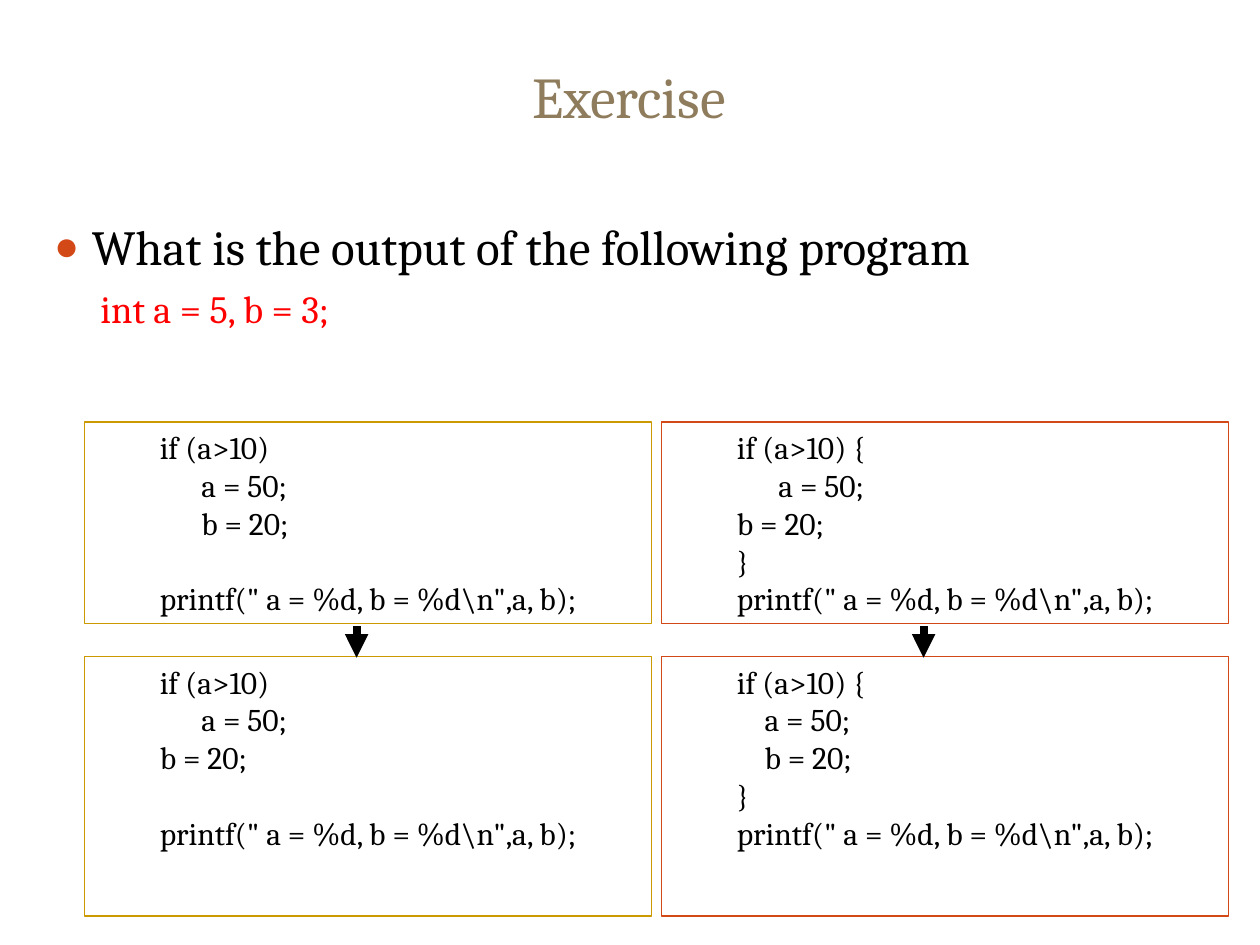
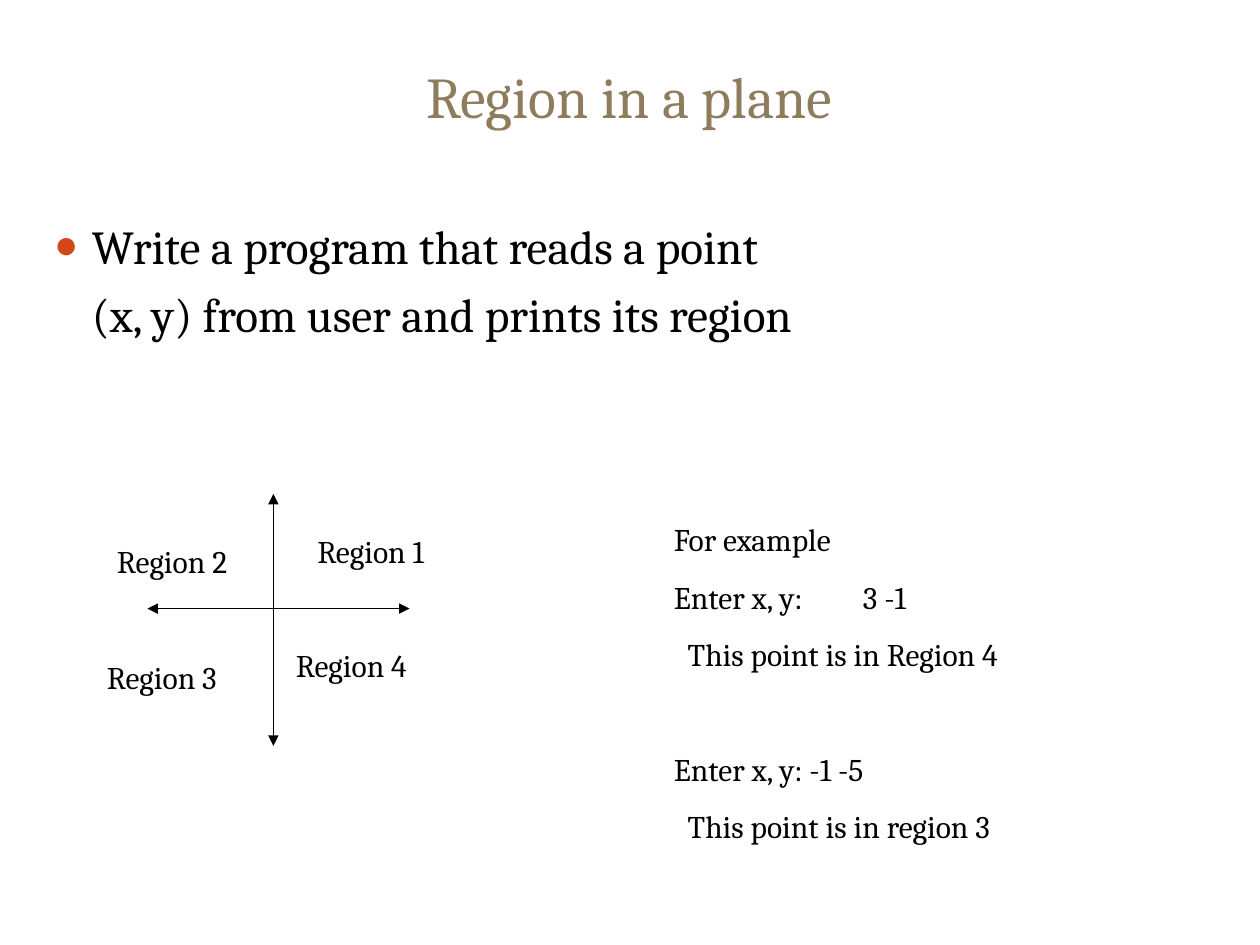
from lxml.etree import SubElement
from pptx import Presentation
from pptx.dml.color import RGBColor
from pptx.enum.shapes import MSO_CONNECTOR, MSO_SHAPE
from pptx.enum.text import MSO_ANCHOR, MSO_AUTO_SIZE, PP_ALIGN
from pptx.oxml.ns import qn
from pptx.util import Inches, Pt

FONT = "Cambria"
BLACK = RGBColor(0, 0, 0)
RED = RGBColor(0xFF, 0, 0)
TAN = RGBColor(0x8E, 0x7C, 0x5C)
RUST = RGBColor(0xD3, 0x48, 0x17)
GOLD = RGBColor(0xCC, 0x99, 0x00)

SMALL = 18
LINE = 21.6  # height of one line of small text, in points
GAP = 11.2

PRINT = 'printf(" a = %d, b = %d\\n",a, b);'
# An empty string stands for a skipped line.
LOOSE = ["if (a>10)", "      a = 50;", "      b = 20;", "", PRINT]
PLAIN = ["if (a>10)", "      a = 50;", "b = 20;", "", PRINT]
MIXED = ["if (a>10) {", "      a = 50;", "b = 20;", "}", PRINT]
BLOCK = ["if (a>10) {", "    a = 50;", "    b = 20;", "}", PRINT]


def add_tag(node, name, **attrs):
    return SubElement(node, qn(name), attrs)


def write(par, text, size, color=BLACK, before=0.0, left=0.0, hang=0.0,
          bullet=False, stop=None):
    """Fill one paragraph; left, hang and stop are inches, before is points."""
    props = par._p.get_or_add_pPr()
    props.set("marL", str(Inches(left)))
    props.set("indent", str(Inches(-hang)))
    if bullet:
        tint = add_tag(props, "a:buClr")
        add_tag(tint, "a:srgbClr", val=str(RUST))
        add_tag(props, "a:buSzPct", val="85000")
        add_tag(props, "a:buChar", char="●")
    else:
        add_tag(props, "a:buNone")
    if stop:
        tabs = add_tag(props, "a:tabLst")
        add_tag(tabs, "a:tab", pos=str(Inches(stop)), algn="l")
    par.text = text
    par.space_before = Pt(before)
    par.font.name = FONT
    par.font.size = Pt(size)
    par.font.color.rgb = color


def next_par(frame, first):
    return frame.paragraphs[0] if first else frame.add_paragraph()


def place(shape, left, top, width, height):
    shape.left, shape.top = Inches(left), Inches(top)
    shape.width, shape.height = Inches(width), Inches(height)


def add_page(deck, title, items):
    """Add a slide with its title and a list of (text, style) items."""
    page = deck.slides.add_slide(deck.slide_layouts[1])
    head, body = page.placeholders
    place(head, 0.33, 0.25, 9.33, 0.83)
    head.text_frame.vertical_anchor = MSO_ANCHOR.BOTTOM
    write(head.text_frame.paragraphs[0], title, 33, TAN)
    head.text_frame.paragraphs[0].alignment = PP_ALIGN.CENTER
    place(body, 0.33, 1.67, 9.3, 5)
    for frame in (head.text_frame, body.text_frame):
        frame.auto_size = MSO_AUTO_SIZE.NONE
    for i, (text, style) in enumerate(items):
        write(next_par(body.text_frame, i == 0), text, **style)
    return page


def add_code(page, left, top, height, color, lines):
    box = page.shapes.add_shape(MSO_SHAPE.RECTANGLE, Inches(left), Inches(top),
                                Inches(4.5), Inches(height))
    box.shadow.inherit = False
    box.fill.background()
    box.line.color.rgb = color
    box.line.width = Pt(0.75)
    frame = box.text_frame
    frame.word_wrap = True
    frame.vertical_anchor = MSO_ANCHOR.TOP
    skip = 0
    for i, line in enumerate(lines):
        if not line:
            skip += LINE
            continue
        par = next_par(frame, i == 0)
        write(par, line, SMALL, before=skip, left=0.5)
        par.alignment = PP_ALIGN.LEFT
        skip = 0


def add_arrow(page, start, end, width, both=False):
    link = page.shapes.add_connector(MSO_CONNECTOR.STRAIGHT,
                                     *map(Inches, start + end))
    link.line.color.rgb = BLACK
    link.line.width = Pt(width)
    edge = link.line._get_or_add_ln()
    if both:
        add_tag(edge, "a:headEnd", type="triangle")
    add_tag(edge, "a:tailEnd", type="triangle")
    add_tag(link._element.spPr, "a:effectLst")


def add_note(page, left, top, width, height, items):
    """Add a text box of (text, style) items in small type."""
    box = page.shapes.add_textbox(Inches(left), Inches(top),
                                  Inches(width), Inches(height))
    box.text_frame.word_wrap = True
    for i, (text, style) in enumerate(items):
        write(next_par(box.text_frame, i == 0), text, SMALL, **style)


def add_quiz(deck):
    page = add_page(deck, "Exercise", [
        ("What is the output of the following program",
         dict(size=28, left=0.3, hang=0.3, bullet=True)),
        (" int a = 5, b = 3;",
         dict(size=22, color=RED, before=5.5, left=0.6, hang=0.3)),
    ])
    columns = [(0.67, 2.83, GOLD, LOOSE, PLAIN),
               (5.25, 7.33, RUST, MIXED, BLOCK)]
    for left, mid, color, given, clear in columns:
        add_code(page, left, 3.35, 1.6, color, given)
        add_code(page, left, 5.21, 2.06, color, clear)
        add_arrow(page, (mid, 4.97), (mid, 5.22), 4.5)


def add_plane(deck):
    page = add_page(deck, "Region in a plane", [
        ("Write a program that reads a point",
         dict(size=27, left=0.3, hang=0.3, bullet=True)),
        ("(x, y) from user and prints its region",
         dict(size=27, before=6.8, left=0.3)),
    ])
    add_arrow(page, (2.17, 3.92), (2.17, 5.92), 0.75, both=True)
    add_arrow(page, (1.17, 4.83), (3.25, 4.83), 0.75, both=True)
    spots = [(2.42, 4.17), (0.83, 4.25), (0.75, 5.17), (2.25, 5.08)]
    for i, (left, top) in enumerate(spots, 1):
        add_note(page, left, top, 1.83, 0.4, [(f"Region {i}", {})])
    reply = dict(before=GAP, left=0.11)
    add_note(page, 5.25, 4.08, 4.08, 2.68, [
        ("For example", {}),
        ("Enter x, y:\t3 -1", dict(before=GAP, stop=1.18)),
        ("This point is in Region 4", reply),
        ("Enter x, y: -1 -5", dict(before=LINE + 2 * GAP)),
        ("This point is in region 3", reply),
    ])


def main():
    deck = Presentation()
    deck.slide_width, deck.slide_height = Inches(10), Inches(7.5)
    add_quiz(deck)
    add_plane(deck)
    deck.save("out.pptx")


if __name__ == "__main__":
    main()
